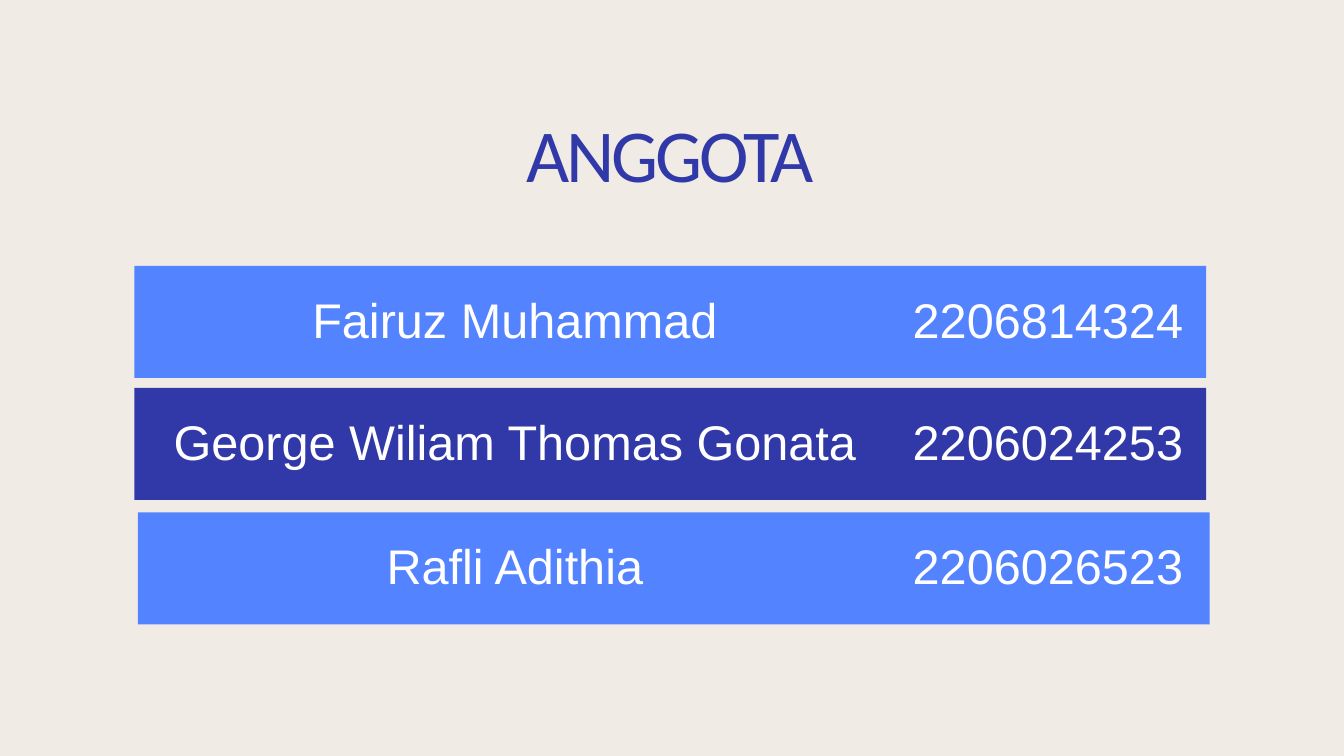
from pptx import Presentation
from pptx.dml.color import RGBColor
from pptx.enum import shapes, text
from pptx.util import Pt

PX = 9525
BLUE, NAVY, WHITE, CREAM = "5383FF", "3139A8", "FFFFFF", "F1EBE5"
TITLE = "ANGGOTA"
MEMBERS = [
    ("Fairuz Muhammad", "2206814324", 192, 380, BLUE),
    ("George Wiliam Thomas Gonata", "2206024253", 192, 554, NAVY),
    ("Rafli Adithia", "2206026523", 197, 732, BLUE),
]
BAR_WIDTH, BAR_HEIGHT = 1531, 160
TEXT_OFFSET, TEXT_HEIGHT = 46, 76
NAME_COLUMN = (215, 1041)
NUMBER_COLUMN = (1299, 396)


def px(*lengths):
    return [length * PX for length in lengths]


def color(value):
    return RGBColor.from_string(value)


def add_bar(slide, left, top, fill):
    bar = slide.shapes.add_shape(
        shapes.MSO_SHAPE.RECTANGLE, *px(left, top, BAR_WIDTH, BAR_HEIGHT))
    bar.shadow.inherit = False
    bar.fill.solid()
    bar.fill.fore_color.rgb = color(fill)
    bar.line.fill.background()


def add_text(slide, content, box, font_name, size, line_spacing, fill):
    frame = slide.shapes.add_textbox(*px(*box)).text_frame
    frame.margin_left = frame.margin_right = 0
    frame.margin_top = frame.margin_bottom = 0
    frame.word_wrap = True
    frame.auto_size = text.MSO_AUTO_SIZE.SHAPE_TO_FIT_TEXT
    frame.text = content
    paragraph = frame.paragraphs[0]
    paragraph.alignment = text.PP_ALIGN.CENTER
    paragraph.line_spacing = Pt(line_spacing)
    run = paragraph.runs[0]
    run.font.name = font_name
    run.font.size = Pt(size)
    run.font.color.rgb = color(fill)
    return run


def main():
    presentation = Presentation()
    presentation.slide_width, presentation.slide_height = px(1920, 1080)
    slide = presentation.slides.add_slide(presentation.slide_layouts[6])
    slide.background.fill.solid()
    slide.background.fill.fore_color.rgb = color(CREAM)

    title = add_text(slide, TITLE, (257, 175, 1401, 111), "Calibri", 80, 80, NAVY)
    title.font._element.set("spc", "-340")

    for name, number, left, top, fill in MEMBERS:
        add_bar(slide, left, top, fill)
        for content, (column, width) in ((name, NAME_COLUMN), (number, NUMBER_COLUMN)):
            box = (column, top + TEXT_OFFSET, width, TEXT_HEIGHT)
            add_text(slide, content, box, "Arial", 52.1, 53.6, WHITE)

    presentation.save("out.pptx")


if __name__ == "__main__":
    main()
